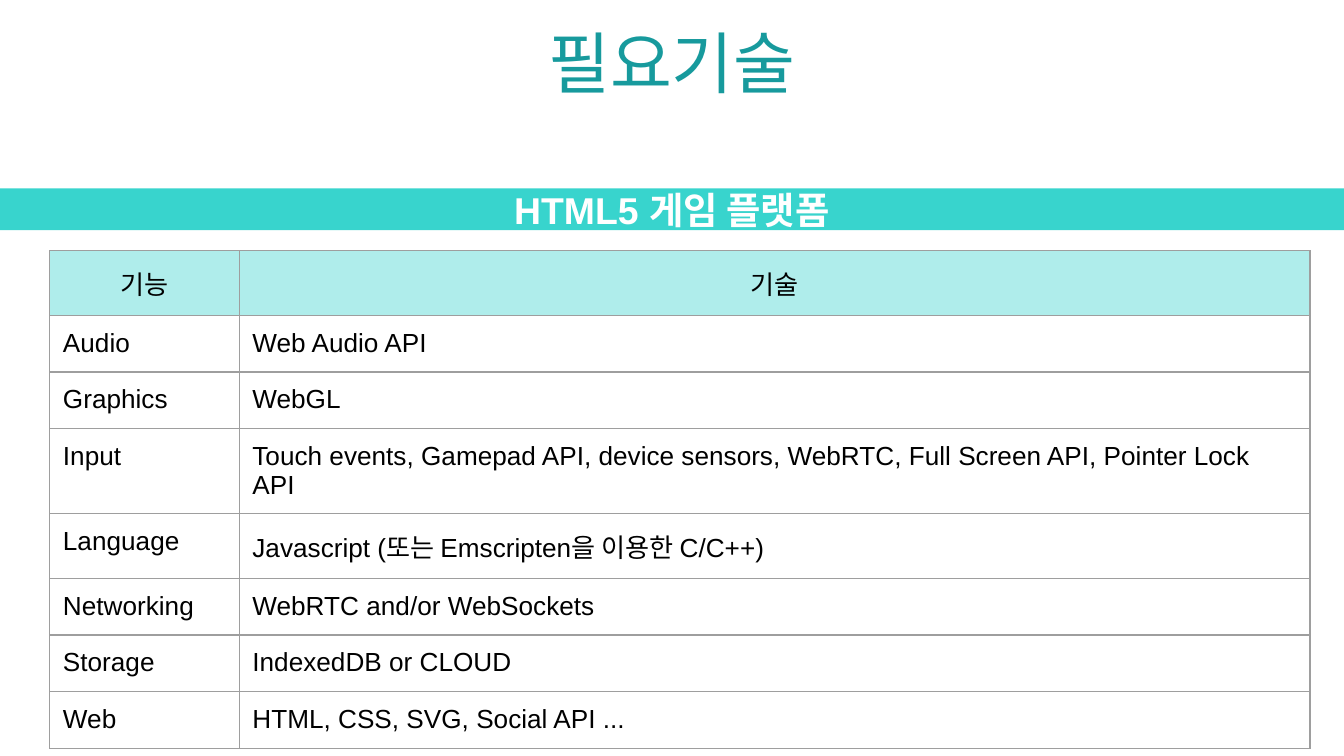
"""Build a slide listing the technologies an HTML5 game platform needs."""
from lxml import etree
from pptx import Presentation
from pptx import util as u
from pptx.dml.color import RGBColor
from pptx.enum import text
from pptx.oxml import ns

HEADING = "필요기술"
BANNER = "HTML5 게임 플랫폼"
TECHNOLOGIES = [
    ("기능", "기술"),
    ("Audio", "Web Audio API"),
    ("Graphics", "WebGL"),
    ("Input", "Touch events, Gamepad API, device sensors, WebRTC, "
              "Full Screen API, Pointer Lock API"),
    ("Language", "Javascript (또는 Emscripten을 이용한 C/C++)"),
    ("Networking", "WebRTC and/or WebSockets"),
    ("Storage", "IndexedDB or CLOUD"),
    ("Web", "HTML, CSS, SVG, Social API ..."),
]

TEAL = RGBColor(0x17, 0x9A, 0x9D)
TURQUOISE = RGBColor(0x38, 0xD4, 0xCD)
PALE = RGBColor(0xAF, 0xED, 0xEB)
GREY = RGBColor(0x9E, 0x9E, 0x9E)
WHITE = RGBColor(0xFF, 0xFF, 0xFF)
BLACK = RGBColor(0, 0, 0)

WIDTH, HEIGHT = u.Cm(25.4), u.Cm(14.29)
COLUMNS = [u.Cm(3.58), u.Cm(20.24)]
ROW = u.Cm(1.07)
MARGIN = u.Cm(0.25)
CENTER, LEFT = text.PP_ALIGN.CENTER, text.PP_ALIGN.LEFT


def assign(target, values):
    for name, value in values.items():
        setattr(target, name, value)


def write(frame, words, size, color, align, bold=False):
    frame.text = words
    line = frame.paragraphs[0]
    assign(line, {"alignment": align, "space_before": u.Pt(0)})
    font = line.runs[0].font
    assign(font, {"name": "Arial", "size": u.Pt(size), "bold": bold})
    font.color.rgb = color
    return line


def place(holder, top, height, words, size, color, bold=False):
    assign(holder, {"left": 0, "top": top, "width": WIDTH, "height": height})
    line = write(holder.text_frame, words, size, color, CENTER, bold)
    assign(holder.text_frame, {"vertical_anchor": text.MSO_ANCHOR.MIDDLE,
                               "auto_size": text.MSO_AUTO_SIZE.NONE,
                               "word_wrap": True})
    return line


def border(cell):
    properties = cell._tc.get_or_add_tcPr()
    for side in ("a:lnL", "a:lnR", "a:lnT", "a:lnB"):
        edge = etree.SubElement(properties, ns.qn(side), w=str(u.Pt(0.75)))
        paint = etree.SubElement(edge, ns.qn("a:solidFill"))
        etree.SubElement(paint, ns.qn("a:srgbClr"), val=str(GREY))


def add_technologies(slide):
    table = slide.shapes.add_table(
        len(TECHNOLOGIES), len(COLUMNS), u.Cm(0.94), u.Cm(4.74),
        sum(COLUMNS), ROW * len(TECHNOLOGIES)).table
    assign(table, {"first_row": False, "horz_banding": False})
    for column, width in zip(table.columns, COLUMNS):
        column.width = width
    for r, entry in enumerate(TECHNOLOGIES):
        for c, words in enumerate(entry):
            cell = table.cell(r, c)
            assign(cell, {f"margin_{side}": MARGIN
                          for side in ("left", "right", "top", "bottom")})
            write(cell.text_frame, words, 14, BLACK, LEFT if r else CENTER)
            border(cell)
            if r:
                cell.fill.background()
            else:
                cell.fill.solid()
                cell.fill.fore_color.rgb = PALE


def main():
    deck = Presentation()
    assign(deck, {"slide_width": WIDTH, "slide_height": HEIGHT})
    slide = deck.slides.add_slide(deck.slide_layouts[1])
    heading, banner = slide.placeholders
    place(heading, u.Cm(0.36), u.Cm(1.6), HEADING, 36, TEAL)
    line = place(banner, u.Cm(3.56), u.Cm(0.79), BANNER, 20, WHITE, True)
    layout = line._p.get_or_add_pPr()
    for name in ("marL", "indent"):
        layout.set(name, "0")
    etree.SubElement(layout, ns.qn("a:buNone"))
    banner.fill.solid()
    banner.fill.fore_color.rgb = TURQUOISE
    add_technologies(slide)
    deck.save("out.pptx")


if __name__ == "__main__":
    main()
